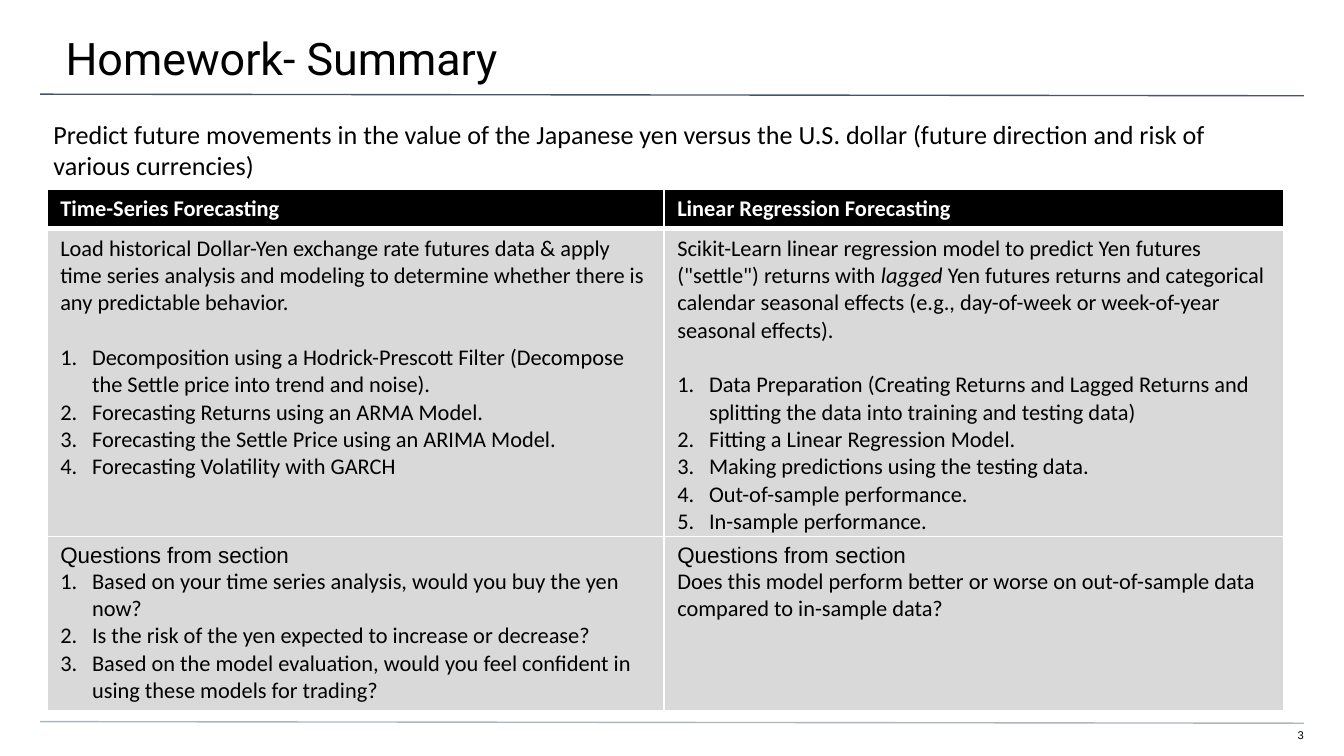
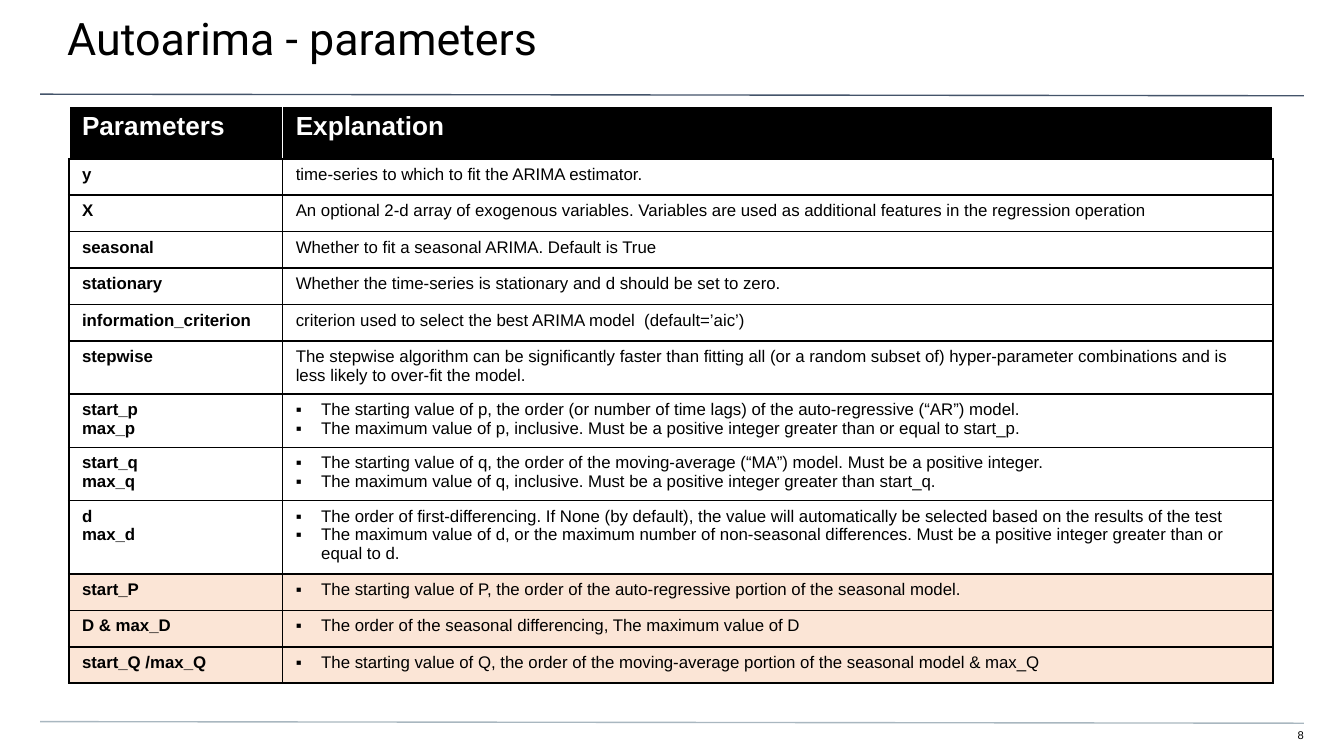
from dataclasses import dataclass

from lxml.etree import SubElement
from pptx import Presentation
from pptx.dml.color import RGBColor
from pptx.enum.shapes import MSO_CONNECTOR
from pptx.enum.text import MSO_ANCHOR, PP_ALIGN
from pptx.oxml.ns import qn
from pptx.util import Cm, Pt

BLACK = RGBColor(0x00, 0x00, 0x00)
WHITE = RGBColor(0xFF, 0xFF, 0xFF)
GREY = RGBColor(0xD9, 0xD9, 0xD9)
PEACH = RGBColor(0xFB, 0xE5, 0xD6)
NAVY = RGBColor(0x44, 0x54, 0x6A)
STEEL = RGBColor(0xA9, 0xB7, 0xC0)

PAD = 0.12  # space above and below the text of a cell, in cm


@dataclass(frozen=True)
class Style:
    font: str
    size: float
    color: RGBColor = BLACK
    bold: bool = False
    slant: bool = False


@dataclass(frozen=True)
class Run:
    text: str
    style: Style


@dataclass(frozen=True)
class Para:
    runs: tuple[Run, ...]
    mark: str = ""  # "1." numbers the line, any other sign is a bullet
    indent: float = 0
    gap: float = 0


@dataclass(frozen=True)
class Box:
    left: float
    top: float
    width: float
    height: float


@dataclass(frozen=True)
class Edge:
    color: RGBColor
    width: float = 1


@dataclass(frozen=True)
class Cell:
    paras: list[Para]
    fill: RGBColor
    edges: tuple[Edge, Edge, Edge, Edge]  # left, right, top, bottom
    foot: float = PAD


@dataclass(frozen=True)
class Grid:
    left: float
    top: float
    cols: list[float]
    rows: list[float]
    cells: list[list[Cell]]


TITLE = Style("Roboto", 24)
FOLIO = Style("Arial", 6)
INTRO = Style("Calibri", 14)
BODY = Style("Calibri", 12)
LAGGED = Style("Calibri", 12, slant=True)
LABEL = Style("Arial", 12)
HEAD = Style("Calibri", 12, WHITE, bold=True)
TOP = Style("Arial", 14, WHITE, bold=True)
NAME = Style("Arial", 9, bold=True)
NOTE = Style("Arial", 9)


# Text
def line(text: str, style: Style, mark: str = "", indent: float = 0,
         gap: float = 0) -> Para:
    return Para((Run(text, style),), mark, indent, gap)


def steps(texts: list[str], gap: float = 0) -> list[Para]:
    return [line(t, BODY, "1.", 0.6, 0 if i else gap)
            for i, t in enumerate(texts)]


def write(frame, paras: list[Para], align=PP_ALIGN.LEFT) -> None:
    frame.word_wrap = True
    for i, item in enumerate(paras):
        para = frame.add_paragraph() if i else frame.paragraphs[0]
        para.alignment = align
        if item.gap:
            para.space_before = Cm(item.gap)
        if item.mark:
            props = para._p.get_or_add_pPr()
            props.set("marL", str(Cm(item.indent)))
            props.set("indent", str(-Cm(item.indent)))
            tint = SubElement(props, qn("a:buClr"))
            SubElement(tint, qn("a:srgbClr"), val=str(BLACK))
            if item.mark == "1.":
                SubElement(props, qn("a:buFont"), typeface="+mj-lt")
                SubElement(props, qn("a:buAutoNum"), type="arabicPeriod")
            else:
                SubElement(props, qn("a:buFont"), typeface="Arial")
                SubElement(props, qn("a:buChar"), char=item.mark)
        for part in item.runs:
            run = para.add_run()
            run.text = part.text
            font, style = run.font, part.style
            font.name, font.size = style.font, Pt(style.size)
            font.bold, font.italic = style.bold, style.slant
            font.color.rgb = style.color


def add_text(slide, box: Box, para: Para, pads=(0.25, 0.13, 0.25, 0.13),
             align=PP_ALIGN.LEFT) -> None:
    shape = slide.shapes.add_textbox(Cm(box.left), Cm(box.top),
                                     Cm(box.width), Cm(box.height))
    frame = shape.text_frame
    (frame.margin_left, frame.margin_top,
     frame.margin_right, frame.margin_bottom) = map(Cm, pads)
    frame.vertical_anchor = MSO_ANCHOR.TOP
    write(frame, [para], align)


# Shared frame of every slide
def add_rule(slide, top: float, color: RGBColor) -> None:
    rule = slide.shapes.add_connector(MSO_CONNECTOR.STRAIGHT, Cm(0.76),
                                      Cm(top), Cm(24.64), Cm(top + 0.03))
    rule.line.color.rgb = color
    rule.line.width = Pt(0.75)
    SubElement(rule._element.spPr, qn("a:effectLst"))


def add_page(deck, title: str, left: float, top: float, folio: str):
    slide = deck.slides.add_slide(deck.slide_layouts[6])
    add_text(slide, Box(23.9, 13.77, 0.74, 0.3), line(folio, FOLIO),
             (0, 0, 0, 0.25), PP_ALIGN.RIGHT)
    add_rule(slide, 1.78, NAVY)
    add_rule(slide, 13.64, STEEL)
    add_text(slide, Box(left, top, 25.48, 1.47), line(title, TITLE),
             (1.27, 0.51, 0.76, 0.25))
    return slide


# Tables
def add_grid(slide, grid: Grid) -> None:
    table = slide.shapes.add_table(
        len(grid.rows), len(grid.cols), Cm(grid.left), Cm(grid.top),
        Cm(sum(grid.cols)), Cm(sum(grid.rows))).table
    table.first_row = table.horz_banding = False
    for col, width in zip(table.columns, grid.cols):
        col.width = Cm(width)
    for row, height, cells in zip(table.rows, grid.rows, grid.cells):
        row.height = Cm(height)
        for cell, item in zip(row.cells, cells):
            cell.fill.solid()
            cell.fill.fore_color.rgb = item.fill
            cell.margin_left = cell.margin_right = Cm(0.25)
            cell.margin_top, cell.margin_bottom = Cm(PAD), Cm(item.foot)
            write(cell.text_frame, item.paras)
            props = cell._tc.get_or_add_tcPr()
            for i, (side, edge) in enumerate(zip("LRTB", item.edges)):
                ln = SubElement(props, qn(f"a:ln{side}"),
                                w=str(Pt(edge.width)))
                fill = SubElement(ln, qn("a:solidFill"))
                SubElement(fill, qn("a:srgbClr"), val=str(edge.color))
                props.insert(i, ln)


THIN, THICK, DARK = Edge(WHITE), Edge(WHITE, 3), Edge(BLACK)

# Homework table
LOAD = [
    line("Load historical Dollar-Yen exchange rate futures data & apply time "
         "series analysis and modeling to determine whether there is any "
         "predictable behavior.", BODY),
    *steps([
        "Decomposition using a Hodrick-Prescott Filter (Decompose the Settle "
        "price into trend and noise).",
        "Forecasting Returns using an ARMA Model.",
        "Forecasting the Settle Price using an ARIMA Model.",
        "Forecasting Volatility with GARCH",
    ], 0.52),
]
FIT = [
    Para((
        Run("Scikit-Learn linear regression model to predict Yen futures "
            "(\"settle\") returns with ", BODY),
        Run("lagged", LAGGED),
        Run(" Yen futures returns and categorical calendar seasonal effects "
            "(e.g., day-of-week or week-of-year seasonal effects).", BODY),
    )),
    *steps([
        "Data Preparation (Creating Returns and Lagged Returns and splitting "
        "the data into training and testing data)",
        "Fitting a Linear Regression Model.",
        "Making predictions using the testing data.",
        "Out-of-sample performance.",
        "In-sample performance.",
    ], 0.52),
]
ASK = line("Questions from section", LABEL)
TRADE = [ASK, *steps([
    "Based on your time series analysis, would you buy the yen now?",
    "Is the risk of the yen expected to increase or decrease?",
    "Based on the model evaluation, would you feel confident in using these "
    "models for trading?",
])]
SCORE = [ASK, line("Does this model perform better or worse on out-of-sample "
                   "data compared to in-sample data?", BODY)]

TASKS = Grid(0.89, 3.57, [11.66, 11.71], [0.75, 5.82, 3.3], [
    [Cell([line(text, HEAD)], BLACK, (THIN, THIN, THIN, THICK))
     for text in ("Time-Series Forecasting", "Linear Regression Forecasting")],
    [Cell(paras, GREY, (THIN, THIN, THICK, THIN), 0)
     for paras in (LOAD, FIT)],
    [Cell(paras, GREY, (THIN,) * 4) for paras in (TRADE, SCORE)],
])

# Parameter table: names, notes, and whether the notes are bulleted
PLAIN = [
    ("y", "time-series to which to fit the ARIMA estimator."),
    ("X", "An optional 2-d array of exogenous variables. Variables are used "
          "as additional features in the regression operation"),
    ("seasonal", "Whether to fit a seasonal ARIMA. Default is True"),
    ("stationary",
     "Whether the time-series is stationary and d should be set to zero."),
    ("information_criterion",
     "criterion used to select the best ARIMA model  (default=’aic’)"),
    ("stepwise",
     "The stepwise algorithm can be significantly faster than fitting all (or "
     "a random subset of) hyper-parameter combinations and is less likely to "
     "over-fit the model."),
]
PAIRS = [
    (["start_p", "max_p"], [
        "The starting value of p, the order (or number of time lags) of the "
        "auto-regressive (“AR”) model.",
        "The maximum value of p, inclusive. Must be a positive integer "
        "greater than or equal to start_p."]),
    (["start_q", "max_q"], [
        "The starting value of q, the order of the moving-average (“MA”) "
        "model. Must be a positive integer.",
        "The maximum value of q, inclusive. Must be a positive integer "
        "greater than start_q."]),
    (["d", "max_d"], [
        "The order of first-differencing. If None (by default), the value "
        "will automatically be selected based on the results of the test",
        "The maximum value of d, or the maximum number of non-seasonal "
        "differences. Must be a positive integer greater than or equal to d."]),
]
CYCLE = [
    (["start_P"], ["The starting value of P, the order of the auto-regressive "
                   "portion of the seasonal model."]),
    (["D & max_D"],
     ["The order of the seasonal differencing, The maximum value of D"]),
    (["start_Q /max_Q"], ["The starting value of Q, the order of the "
                          "moving-average portion of the seasonal model & "
                          "max_Q"]),
]


def row(names: list[str], notes: list[str], fill: RGBColor = WHITE,
        mark: str = "▪") -> list[Cell]:
    left = [line(name, NAME) for name in names]
    right = [line(note, NOTE, mark, 0.48) for note in notes]
    return [Cell(paras, fill, (DARK,) * 4) for paras in (left, right)]


ROWS = [1] + [0.69] * 5 + [0.97] * 3 + [1.34] + [0.69] * 3
PARAMS = Grid(1.3, 2, [4.04, 18.72], ROWS, [
    [Cell([line(text, TOP)], BLACK, (THIN, THIN, THIN, DARK))
     for text in ("Parameters", "Explanation")],
    *[row([name], [note], mark="") for name, note in PLAIN],
    *[row(names, notes) for names, notes in PAIRS],
    *[row(names, notes, PEACH) for names, notes in CYCLE],
])


def main() -> None:
    deck = Presentation()
    deck.slide_width, deck.slide_height = Cm(25.4), Cm(14.29)

    # Homework
    slide = add_page(deck, "Homework- Summary", -0.03, 0.08, "3")
    add_text(slide, Box(0.76, 2.11, 23.72, 1.45), line(
        "Predict future movements in the value of the Japanese yen versus the "
        "U.S. dollar (future direction and risk of various currencies)", INTRO))
    add_grid(slide, TASKS)

    # Parameters
    slide = add_page(deck, "Autoarima - parameters", 0, -0.3, "8")
    add_grid(slide, PARAMS)

    deck.save("out.pptx")


if __name__ == "__main__":
    main()
